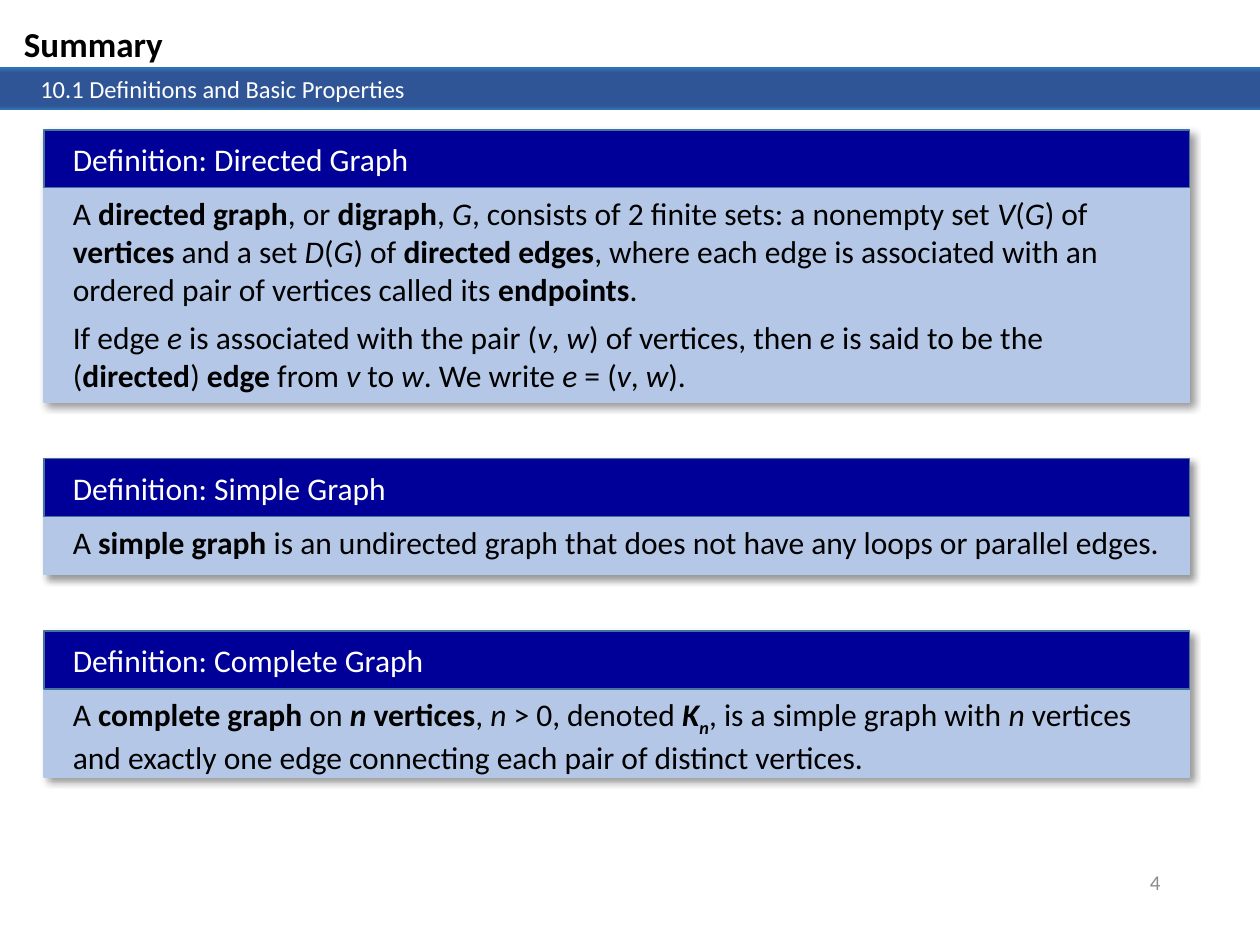
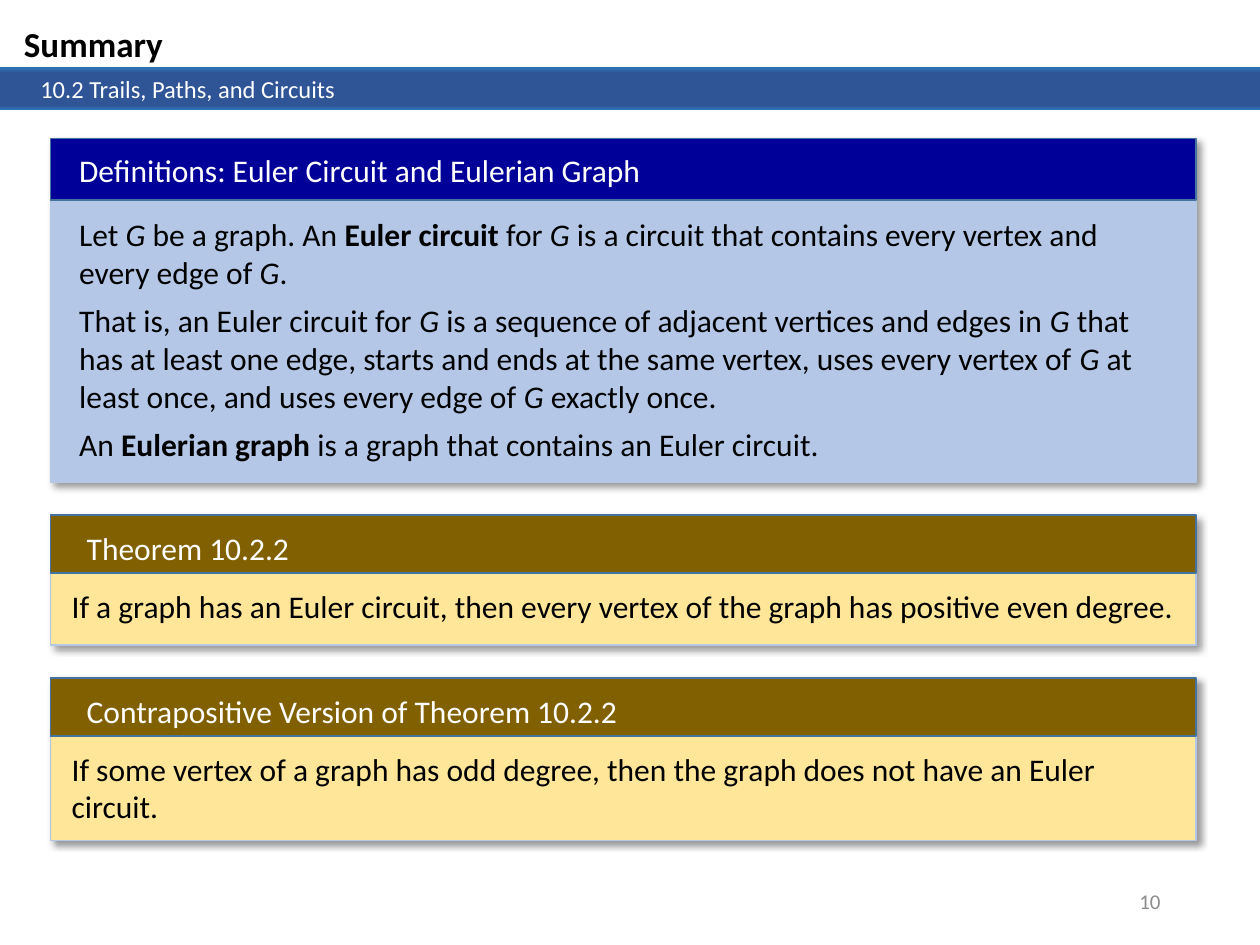
from dataclasses import dataclass

import lxml.etree
import pptx
import pptx.dml.color
import pptx.enum.shapes
import pptx.enum.text
import pptx.oxml.ns
import pptx.util

Inches = pptx.util.Inches
Pt = pptx.util.Pt
Align = pptx.enum.text.PP_ALIGN
Anchor = pptx.enum.text.MSO_ANCHOR

FONT = "Calibri"
COLORS = {
    "black": "000000",
    "white": "FFFFFF",
    "number": "8C8C8C",
    "band_edge": "2E75B6",
    "band": "2F5597",
    "navy": "000099",
    "pale_blue": "B4C7E7",
    "header_line": "43739E",
    "brown": "806000",
    "pale_yellow": "FFE699",
}
BAND_STOPS = [(0, "band_edge"), (11, "band"), (91, "band"), (100, "band_edge")]
CARD_WIDTH = 9.09


@dataclass(frozen=True)
class CardStyle:
    """Colours of a card and the offsets of its texts, in inches."""
    header_fill: str
    body_fill: str
    header_height: float
    header_offset: tuple[float, float]
    body_offset: tuple[float, float]


@dataclass(frozen=True)
class Card:
    style: CardStyle
    height: float
    body_width: float
    header: str
    paragraphs: list[str]  # *bold*, _italic_, ~subscript~


@dataclass(frozen=True)
class Summary:
    section: str
    number: str
    number_top: float
    left: float
    top: float
    gap: float
    cards: list[Card]


DEFINITION = CardStyle("navy", "pale_blue", 0.46, (0.13, 0.03), (0.13, 0.46))
ROOMY_DEFINITION = CardStyle("navy", "pale_blue", 0.49, (0.13, 0.05), (0.13, 0.56))
THEOREM = CardStyle("brown", "pale_yellow", 0.46, (0.19, 0.06), (0.07, 0.52))

SUMMARIES = [
    Summary("10.1 Definitions and Basic Properties", "4", 6.8, 0.35, 1.03, 0.45, [
        Card(DEFINITION, 2.16, 8.79, "Definition: Directed Graph", [
            "A *directed graph*, or *digraph*, _G_, consists of 2 finite sets: "
            "a nonempty set _V_(_G_) of *vertices* and a set _D_(_G_) of "
            "*directed edges*, where each edge is associated with an ordered "
            "pair of vertices called its *endpoints*.",
            "If edge _e_ is associated with the pair (_v_, _w_) of vertices, "
            "then _e_ is said to be the (*directed*) *edge* from _v_ to _w_. "
            "We write _e_ = (_v_, _w_).",
        ]),
        Card(DEFINITION, 0.92, 8.97, "Definition: Simple Graph", [
            "A *simple graph* is an undirected graph that does not have any "
            "loops or parallel edges.",
        ]),
        Card(DEFINITION, 1.16, 8.79, "Definition: Complete Graph", [
            "A *complete graph* on *_n_ vertices*, _n_ > 0, denoted *_K~n~_*, "
            "is a simple graph with _n_ vertices and exactly one edge "
            "connecting each pair of distinct vertices.",
        ]),
    ]),
    Summary("10.2 Trails, Paths, and Circuits", "10", 6.95, 0.4, 1.1, 0.26, [
        Card(ROOMY_DEFINITION, 2.73, 8.78,
             "Definitions: Euler Circuit and Eulerian Graph", [
                 "Let _G_ be a graph. An *Euler circuit* for _G_ is a circuit "
                 "that contains every vertex and every edge of _G_.",
                 "That is, an Euler circuit for _G_ is a sequence of adjacent "
                 "vertices and edges in _G_ that has at least one edge, starts "
                 "and ends at the same vertex, uses every vertex of _G_ at least "
                 "once, and uses every edge of _G_ exactly once.",
                 "An *Eulerian graph* is a graph that contains an Euler circuit.",
             ]),
        Card(THEOREM, 1.03, 9.02, "Theorem 10.2.2", [
            "If a graph has an Euler circuit, then every vertex of the graph "
            "has positive even degree.",
        ]),
        Card(THEOREM, 1.29, 9.02, "Contrapositive Version of Theorem 10.2.2", [
            "If some vertex of a graph has odd degree, then the graph does not "
            "have an Euler circuit.",
        ]),
    ]),
]


def rgb(name: str) -> pptx.dml.color.RGBColor:
    return pptx.dml.color.RGBColor.from_string(COLORS[name])


def add_xml(parent, tag: str, **attributes):
    element = lxml.etree.SubElement(parent, pptx.oxml.ns.qn(tag))
    for name, value in attributes.items():
        element.set(name, str(value))
    return element


# Text

def split_marks(text: str) -> list[tuple[str, frozenset]]:
    """Split text into pieces, each with the set of marks that apply to it."""
    pieces, active, piece = [], frozenset(), ""
    for letter in text:
        if letter in "*_~":
            if piece:
                pieces.append((piece, active))
            active, piece = active ^ {letter}, ""
        else:
            piece += letter
    return pieces + [(piece, active)] if piece else pieces


def write_text(shape, *paragraphs: str, size: float = 18, color: str = "black",
               bold: bool = False, align=Align.LEFT, anchor=Anchor.TOP,
               space_after: float = 0, margin_left: float = 0.1) -> None:
    frame = shape.text_frame
    frame.word_wrap = True
    frame.auto_size = pptx.enum.text.MSO_AUTO_SIZE.NONE
    frame.vertical_anchor = anchor
    frame.margin_left = Inches(margin_left)
    for index, text in enumerate(paragraphs):
        paragraph = frame.add_paragraph() if index else frame.paragraphs[0]
        paragraph.alignment = align
        paragraph.space_after = Pt(space_after)
        for piece, marks in split_marks(text):
            run = paragraph.add_run()
            run.text = piece
            run.font.name = FONT
            run.font.size = Pt(size)
            run.font.color.rgb = rgb(color)
            run.font.bold = bold or "*" in marks
            run.font.italic = "_" in marks
            if "~" in marks:
                run._r.get_or_add_rPr().set("baseline", "-25000")


def add_text(shapes, left: float, top: float, width: float, height: float,
             *paragraphs: str, **text_format) -> None:
    box = shapes.add_textbox(Inches(left), Inches(top), Inches(width), Inches(height))
    write_text(box, *paragraphs, **text_format)


# Rectangles

def add_rectangle(shapes, left: float, top: float, width: float, height: float):
    shape = shapes.add_shape(pptx.enum.shapes.MSO_SHAPE.RECTANGLE, Inches(left),
                             Inches(top), Inches(width), Inches(height))
    shape.shadow.inherit = False
    return shape


def add_panel(shapes, left: float, top: float, height: float, fill: str, line: str):
    panel = add_rectangle(shapes, left, top, CARD_WIDTH, height)
    panel.fill.solid()
    panel.fill.fore_color.rgb = rgb(fill)
    panel.line.color.rgb = rgb(line)
    panel.line.width = Pt(1)
    return panel


def add_shadow(shape) -> None:
    effects = shape._element.spPr.find(pptx.oxml.ns.qn("a:effectLst"))
    shadow = add_xml(effects, "a:outerShdw", blurRad=Pt(4), dist=Pt(3),
                     dir=45 * 60000, algn="tl", rotWithShape=0)
    color = add_xml(shadow, "a:srgbClr", val=COLORS["black"])
    add_xml(color, "a:alpha", val=40000)


def add_band(shapes, top: float, height: float):
    band = add_rectangle(shapes, 0, top, 10, height)
    band.line.fill.background()
    band.fill.gradient()
    band.fill.gradient_angle = 270
    stops = next(band._element.spPr.iter(pptx.oxml.ns.qn("a:gsLst")))
    for stop in list(stops):
        stops.remove(stop)
    for position, color in BAND_STOPS:
        stop = add_xml(stops, "a:gs", pos=position * 1000)
        add_xml(stop, "a:srgbClr", val=COLORS[color])
    return band


# Cards and slides

def add_card(slide, card: Card, left: float, top: float) -> None:
    shapes = slide.shapes.add_group_shape().shapes
    style = card.style
    panel = add_panel(shapes, left, top, card.height, style.body_fill, "pale_blue")
    add_shadow(panel)
    add_panel(shapes, left, top, style.header_height, style.header_fill, "header_line")
    header_x, header_y = style.header_offset
    add_text(shapes, left + header_x, top + header_y, 8.07, 0.4,
             card.header, color="white")
    body_x, body_y = style.body_offset
    add_text(shapes, left + body_x, top + body_y, card.body_width,
             card.height - body_y, *card.paragraphs, space_after=6)


def add_summary(presentation, summary: Summary) -> None:
    slide = presentation.slides.add_slide(presentation.slide_layouts[5])

    # Title, section band and slide number
    add_band(slide.shapes, 0.53, 0.3)
    band = add_band(slide.shapes, 0.54, 0.33)
    write_text(band, summary.section, size=14, color="white", margin_left=0.32)
    title = slide.shapes.title
    title.left, title.top = Inches(0.09), Inches(0.13)
    title.width, title.height = Inches(2.69), Inches(0.44)
    write_text(title, "Summary", size=20, bold=True)
    add_text(slide.shapes, 7.06, summary.number_top, 2.25, 0.4, summary.number,
             size=12, color="number", align=Align.RIGHT, anchor=Anchor.MIDDLE)

    # Stack of cards
    top = summary.top
    for card in summary.cards:
        add_card(slide, card, summary.left, top)
        top += card.height + summary.gap


def main() -> None:
    presentation = pptx.Presentation()
    presentation.slide_width = Inches(10)
    presentation.slide_height = Inches(7.5)
    for summary in SUMMARIES:
        add_summary(presentation, summary)
    presentation.save("out.pptx")


if __name__ == "__main__":
    main()
